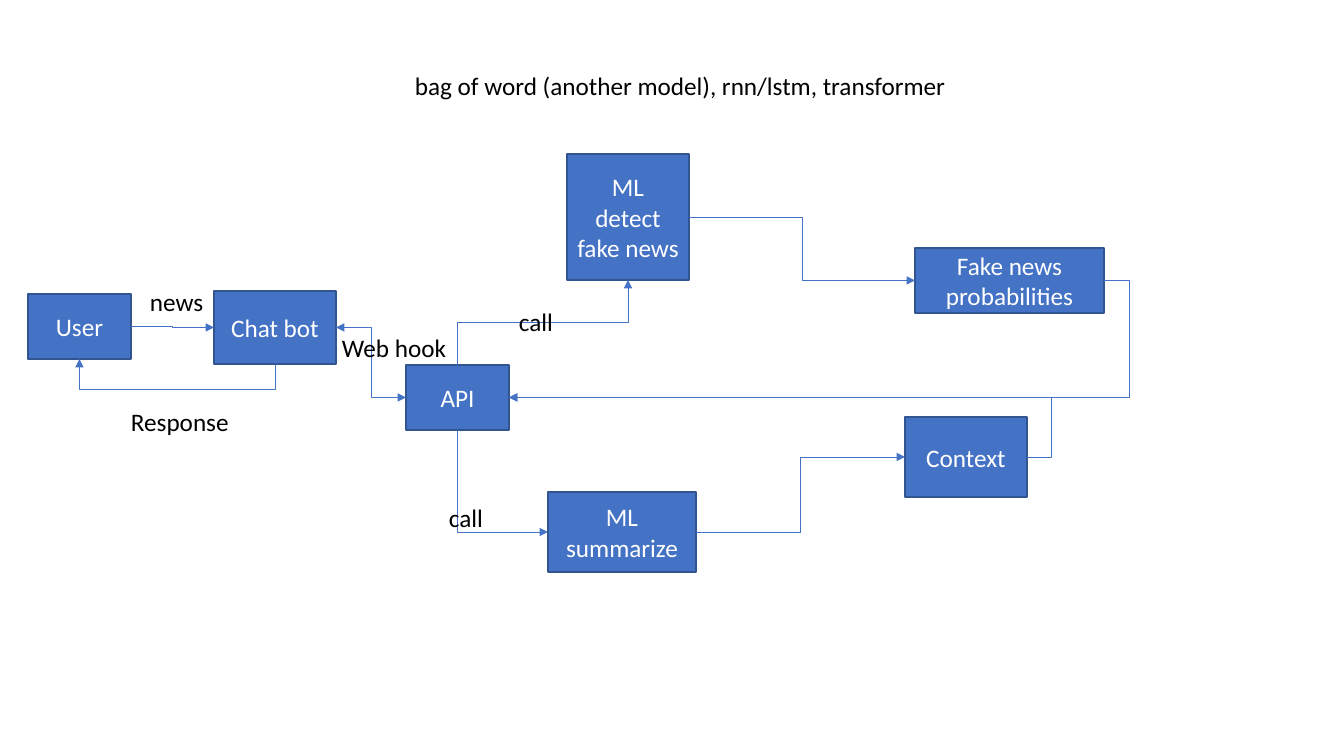
from lxml import etree
from pptx import Presentation
from pptx import util as u
from pptx.dml.color import RGBColor
from pptx.enum import shapes, text
from pptx.oxml.ns import qn

EMU_PER_PX = 914400 / 100.8
BLUE = RGBColor(0x44, 0x72, 0xC4)
DARK_BLUE = RGBColor(0x32, 0x54, 0x91)
WHITE = RGBColor(0xFF, 0xFF, 0xFF)
BLACK = RGBColor(0x00, 0x00, 0x00)

# Connection sites of a rectangle
TOP, LEFT, BOTTOM, RIGHT = range(4)

# name: left, top, width, height
STEPS = {
    "User": (28, 294, 103, 65),
    "Chat bot": (214, 291, 122, 73),
    "API": (406, 365, 103, 65),
    "ML detect fake news": (567, 154, 122, 126),
    "ML summarize": (548, 492, 148, 80),
    "Fake news probabilities": (915, 248, 189, 65),
    "Context": (905, 417, 122, 80),
}

# from, site, to, site, format
FLOWS = [
    ("User", RIGHT, "Chat bot", LEFT, {}),
    ("Chat bot", BOTTOM, "User", BOTTOM, {"bend": 25}),
    ("Chat bot", RIGHT, "API", LEFT, {"both_ways": True}),
    ("API", TOP, "ML detect fake news", BOTTOM, {}),
    ("API", BOTTOM, "ML summarize", LEFT, {}),
    ("ML detect fake news", RIGHT, "Fake news probabilities", LEFT, {}),
    ("ML summarize", RIGHT, "Context", LEFT, {}),
    ("Context", RIGHT, "API", RIGHT, {"bend": 25}),
    ("Fake news probabilities", RIGHT, "API", RIGHT, {"bend": 25}),
]

# wording, left, top, width
LABELS = [
    ("bag of word (another model), rnn/lstm, transformer", 405, 65, 566),
    ("news", 140, 281, 74),
    ("Web hook", 332, 327, 126),
    ("call", 509, 301, 54),
    ("call", 439, 497, 54),
    ("Response", 121, 401, 119),
]
LABEL_HEIGHT = 40


def px(length):
    return u.Emu(round(length * EMU_PER_PX))


def write(frame, wording, size=18, color=BLACK, align=text.PP_ALIGN.LEFT,
          anchor=text.MSO_ANCHOR.TOP, wrap=True):
    frame.word_wrap = wrap
    frame.vertical_anchor = anchor
    paragraph = frame.paragraphs[0]
    paragraph.alignment = align
    run = paragraph.add_run()
    run.text = wording
    run.font.name = "Calibri"
    run.font.size = u.Pt(size)
    run.font.color.rgb = color


def add_step(slide, name, bounds):
    step = slide.shapes.add_shape(shapes.MSO_SHAPE.RECTANGLE, *map(px, bounds))
    step.shadow.inherit = False
    step.fill.solid()
    step.fill.fore_color.rgb = BLUE
    step.line.color.rgb = DARK_BLUE
    step.line.width = u.Pt(1)
    write(step.text_frame, name, color=WHITE, align=text.PP_ALIGN.CENTER,
          anchor=text.MSO_ANCHOR.MIDDLE)
    return step


def add_label(slide, wording, left, top, width):
    label = slide.shapes.add_textbox(px(left), px(top), px(width), px(LABEL_HEIGHT))
    write(label.text_frame, wording, wrap=False)
    label.text_frame.auto_size = text.MSO_AUTO_SIZE.SHAPE_TO_FIT_TEXT


def turn_upright(flow, dx, dy):
    """Rotate an elbow a quarter turn so that it leaves its start vertically."""
    center_x = flow.left + flow.width // 2
    center_y = flow.top + flow.height // 2
    flow.width, flow.height = abs(dy), abs(dx)
    flow.left = center_x - flow.width // 2
    flow.top = center_y - flow.height // 2
    frame = flow._element.spPr.find(qn("a:xfrm"))
    frame.set("rot", "5400000")
    frame.set("flipH", str(int(dy < 0)))
    frame.set("flipV", str(int(dx > 0)))


def add_flow(slide, start, start_site, end, end_site, bend=None, both_ways=False):
    """Join two steps; bend is the distance in px from the start to the turn."""
    flow = slide.shapes.add_connector(shapes.MSO_CONNECTOR.ELBOW, 0, 0, 0, 0)
    flow.begin_connect(start, start_site)
    flow.end_connect(end, end_site)
    dx, dy = flow.end_x - flow.begin_x, flow.end_y - flow.begin_y
    upright = start_site in (TOP, BOTTOM)
    if upright:
        turn_upright(flow, dx, dy)

    properties = flow._element.spPr
    geometry = properties.find(qn("a:prstGeom"))
    if upright and end_site in (LEFT, RIGHT):
        geometry.set("prst", "bentConnector2")
    if bend is not None:
        share = round(100000 * px(bend) / (dy if upright else dx))
        guides = geometry.find(qn("a:avLst"))
        if guides is None:
            guides = etree.SubElement(geometry, qn("a:avLst"))
        etree.SubElement(guides, qn("a:gd"), name="adj1", fmla=f"val {share}")

    flow.line.color.rgb = BLUE
    flow.line.width = u.Pt(0.5)
    line = properties.find(qn("a:ln"))
    for tip in ("a:headEnd", "a:tailEnd") if both_ways else ("a:tailEnd",):
        etree.SubElement(line, qn(tip), type="triangle")
    etree.SubElement(properties, qn("a:effectLst"))


def main():
    deck = Presentation()
    deck.slide_width, deck.slide_height = px(1344), px(756)
    slide = deck.slides.add_slide(deck.slide_layouts[6])

    steps = {name: add_step(slide, name, bounds) for name, bounds in STEPS.items()}
    for start, start_site, end, end_site, style in FLOWS:
        add_flow(slide, steps[start], start_site, steps[end], end_site, **style)
    for label in LABELS:
        add_label(slide, *label)

    deck.save("out.pptx")


if __name__ == "__main__":
    main()
